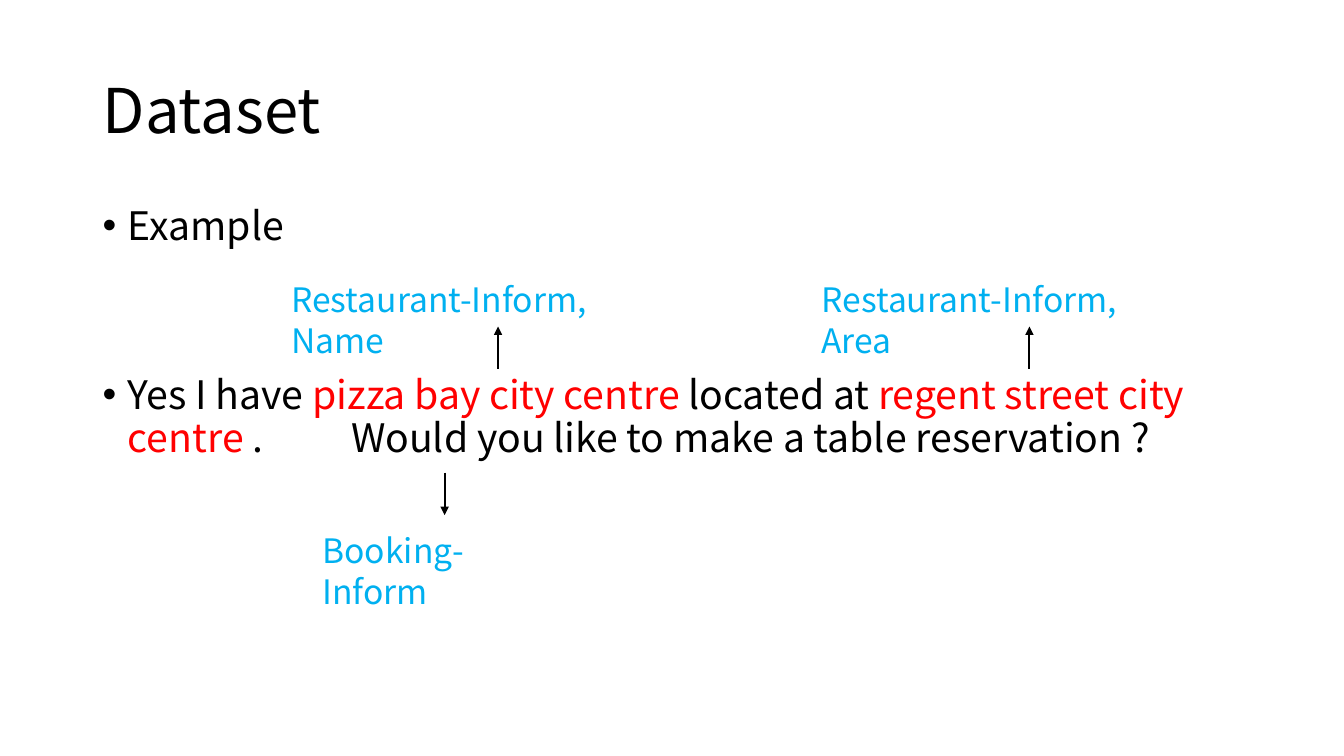
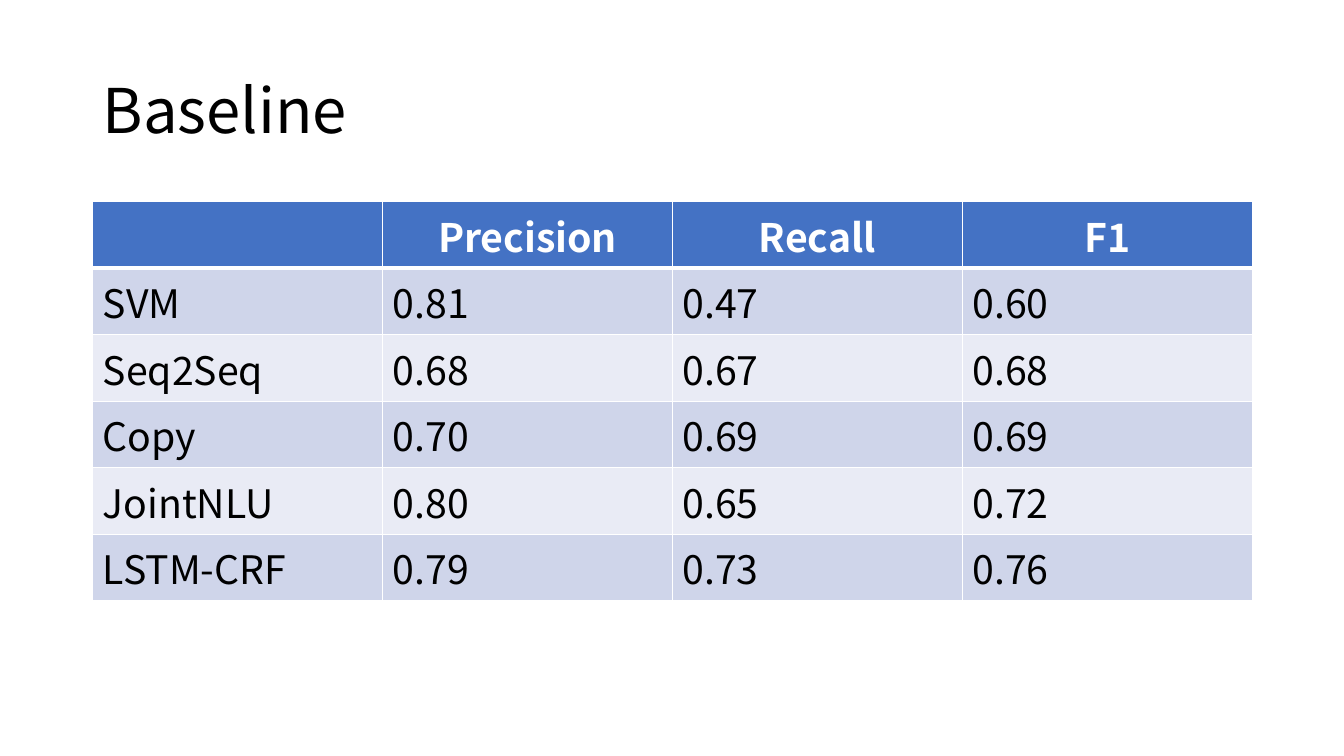
from lxml import etree
from pptx import Presentation
from pptx import util as u
from pptx.dml.color import RGBColor
from pptx.enum import shapes, text
from pptx.oxml import ns

FONT = "Noto Sans CJK SC"
BLACK, WHITE, RED, CYAN = "000000", "FFFFFF", "FF0000", "00B0F0"
HEADER, BANDS = "4472C4", ("CFD5EA", "E9EBF5")
WIDTH, HEIGHT = 13.33, 7.5
LEFT, SPAN = 0.92, 11.5
TITLE_TOP, TITLE_HEIGHT = 0.4, 1.45
BODY_TOP, BODY_HEIGHT = 2, 4.76
BODY_SIZE, LABEL_SIZE = 28, 24
BODY_LINE, LABEL_LINE, PARA_GAP = 30.2, 28.8, 10
WIDE_SPACE = 56.4

EXAMPLE = [("Example", BLACK)]
SENTENCE = [
    ("Yes I have ", BLACK),
    ("pizza bay city centre ", RED),
    ("located at ", BLACK),
    ("regent street city centre ", RED),
    (".", BLACK),
    (" ", BLACK, WIDE_SPACE),
    ("Would you like to make a table reservation ?", BLACK),
]
LABELS = [
    ("Restaurant-Inform, Name", (2.79, 2.72, 3.88, 0.5)),
    ("Restaurant-Inform, Area", (8.05, 2.72, 3.88, 0.5)),
    ("Booking-Inform", (3.1, 5.21, 2.53, 0.5)),
]
ARROWS = [(4.94, 3.66, 3.24), (10.21, 3.66, 3.24), (4.41, 4.69, 5.11)]
SCORES = [
    ("", "Precision", "Recall", "F1"),
    ("SVM", "0.81", "0.47", "0.60"),
    ("Seq2Seq", "0.68", "0.67", "0.68"),
    ("Copy", "0.70", "0.69", "0.69"),
    ("JointNLU", "0.80", "0.65", "0.72"),
    ("LSTM-CRF", "0.79", "0.73", "0.76"),
]
ROW_HEIGHT = 0.66


def color(value):
    return RGBColor.from_string(value)


def apply(target, **values):
    for name, value in values.items():
        setattr(target, name, value)


def child(parent, tag, **values):
    return etree.SubElement(parent, ns.qn(tag), values)


def add_span(para, words, hue, size, bold=False, spacing=0):
    span = para.add_run()
    span.text = words
    apply(span.font, name=FONT, size=u.Pt(size), bold=bold)
    span.font.color.rgb = color(hue)
    properties = span.font._element
    child(properties, "a:ea", typeface=FONT)
    if spacing:
        properties.set("spc", str(round(spacing * 100)))


def add_box(page, place, anchor=text.MSO_ANCHOR.TOP):
    box = page.shapes.add_textbox(*map(u.Inches, place))
    apply(box.text_frame, word_wrap=True, vertical_anchor=anchor)
    return box.text_frame


def add_page(deck, title):
    page = deck.slides.add_slide(deck.slide_layouts[6])
    place = (LEFT, TITLE_TOP, SPAN, TITLE_HEIGHT)
    para = add_box(page, place, text.MSO_ANCHOR.MIDDLE).paragraphs[0]
    para.line_spacing = 0.9
    add_span(para, title, BLACK, 44)
    return page


def add_bullet(para, spans, gap):
    apply(para, line_spacing=u.Pt(BODY_LINE), space_before=u.Pt(gap))
    properties = para._p.get_or_add_pPr()
    indent = u.Inches(0.25)
    properties.set("marL", str(indent))
    properties.set("indent", str(-indent))
    child(properties, "a:buFont", typeface="Arial")
    child(properties, "a:buChar", char="•")
    for words, hue, *spacing in spans:
        add_span(para, words, hue, BODY_SIZE, spacing=sum(spacing))


def add_arrow(page, x, start, end):
    ends = map(u.Inches, (x, start, x, end))
    arrow = page.shapes.add_connector(shapes.MSO_CONNECTOR.STRAIGHT, *ends)
    arrow.line.color.rgb = color(BLACK)
    arrow.line.width = u.Pt(1.5)
    child(arrow.line._get_or_add_ln(), "a:tailEnd", type="triangle")
    child(arrow._element.spPr, "a:effectLst")


def style_cell(cell, fill, bottom, top):
    properties = cell._tc.get_or_add_tcPr()
    for side, width in (("L", 1), ("R", 1), ("T", top), ("B", bottom)):
        line = child(properties, f"a:ln{side}", w=str(u.Pt(width)))
        child(child(line, "a:solidFill"), "a:srgbClr", val=WHITE)
    cell.fill.solid()
    cell.fill.fore_color.rgb = color(fill)


def build_dataset(deck):
    page = add_page(deck, "Dataset")
    frame = add_box(page, (LEFT, BODY_TOP, SPAN, BODY_HEIGHT))
    add_bullet(frame.paragraphs[0], EXAMPLE, PARA_GAP)
    two_lines = 2 * (BODY_LINE + PARA_GAP)
    add_bullet(frame.add_paragraph(), SENTENCE, two_lines + PARA_GAP)
    for arrow in ARROWS:
        add_arrow(page, *arrow)
    for words, place in LABELS:
        para = add_box(page, place).paragraphs[0]
        para.line_spacing = u.Pt(LABEL_LINE)
        add_span(para, words, CYAN, LABEL_SIZE)


def build_baseline(deck):
    page = add_page(deck, "Baseline")
    rows, columns = len(SCORES), len(SCORES[0])
    place = map(u.Inches, (LEFT, BODY_TOP, SPAN, rows * ROW_HEIGHT))
    table = page.shapes.add_table(rows, columns, *place).table
    for r, values in enumerate(SCORES):
        head = r == 0
        fill = HEADER if head else BANDS[(r - 1) % 2]
        for c, value in enumerate(values):
            cell = table.cell(r, c)
            style_cell(cell, fill, bottom=3 if head else 1, top=3 if r == 1 else 1)
            para = cell.text_frame.paragraphs[0]
            if head:
                para.alignment = text.PP_ALIGN.CENTER
            if value:
                add_span(para, value, WHITE if head else BLACK, BODY_SIZE, bold=head)


def main():
    deck = Presentation()
    apply(deck, slide_width=u.Inches(WIDTH), slide_height=u.Inches(HEIGHT))
    build_dataset(deck)
    build_baseline(deck)
    deck.save("out.pptx")


if __name__ == "__main__":
    main()
